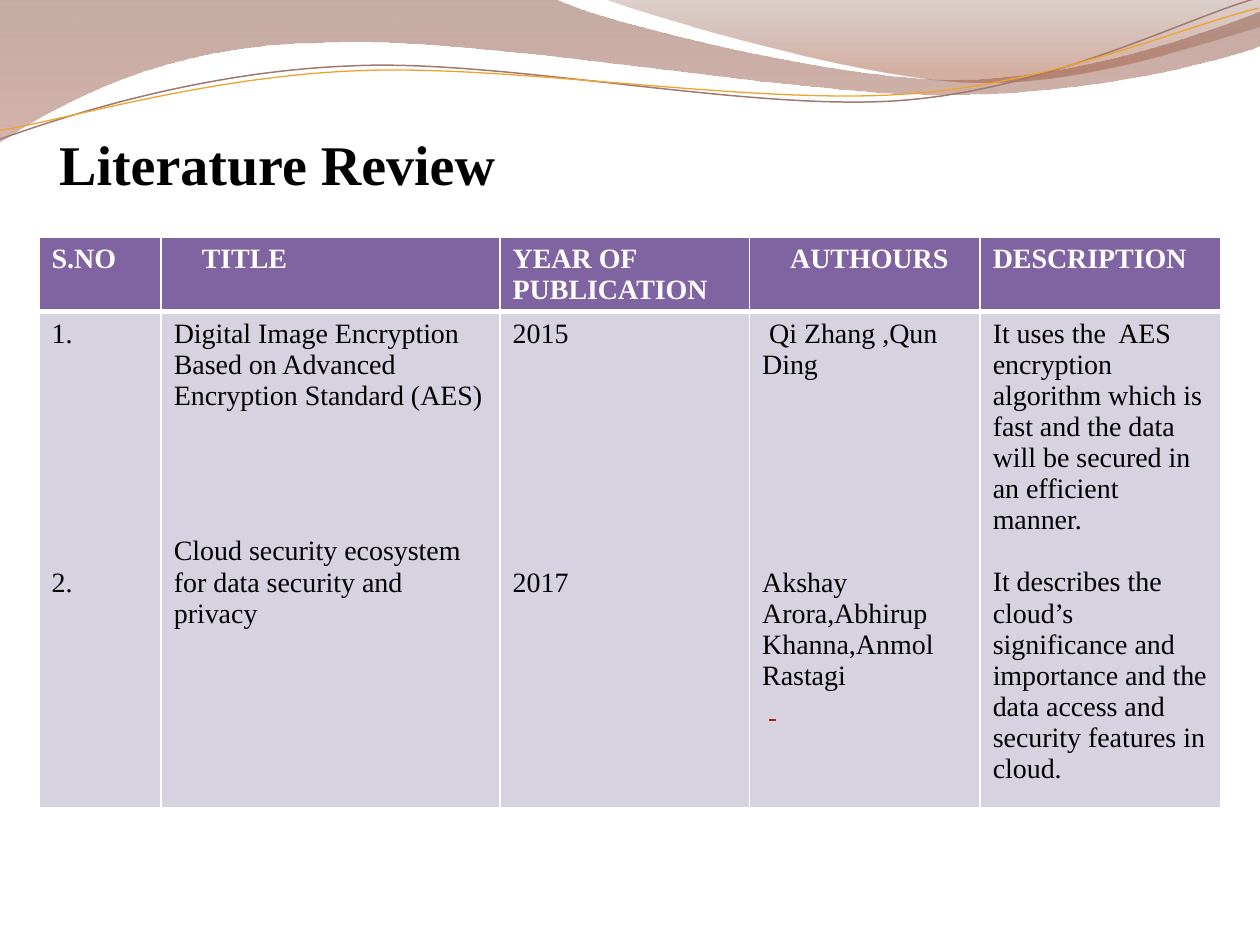
from pptx import Presentation
from pptx.dml.color import RGBColor as RGB
from pptx.enum.text import MSO_ANCHOR as ANCHOR, MSO_AUTO_SIZE as FIT, PP_ALIGN as ALIGN
from pptx.oxml.ns import qn
from pptx.util import Inches, Pt
from lxml.etree import SubElement

THEME = dict(font="Times New Roman", title=32, body=16, black="000000", white="FFFFFF",
             header="8064A2", cell="D7D2DF", mark="AD1F1F", brown="9F7A70", gold="F0A22E")

prs = Presentation()
prs.slide_width, prs.slide_height = Inches(10), Inches(7.5)
U = prs.slide_width // 10  # grid unit: a tenth of the slide's width
s = prs.slides.add_slide(prs.slide_layouts[5])


def add_wave(shapes, start, segments, closed):
    """Outline in grid units; a segment is a line (2 numbers) or a Bezier curve (6)."""
    pts = [(round(seg[i] * U), round(seg[i + 1] * U))
           for seg in segments for i in range(0, len(seg), 2)]
    builder = shapes.build_freeform(round(start[0] * U), round(start[1] * U), scale=1.0)
    builder.add_line_segments(pts, close=closed)
    sp = builder.convert_to_shape()
    sp.shadow.inherit = False
    steps = iter(list(sp.element.iter(qn("a:lnTo"))))
    for seg in segments:
        first, *others = [next(steps) for _ in range(len(seg) // 2)]
        if others:
            first.tag = qn("a:cubicBezTo")
        for step in others:
            first.append(step[0])
            step.getparent().remove(step)
    return sp


def add_run(p, text, color, bold=False, size=THEME["body"], underline=None):
    r = p.add_run()
    r.text = text
    fmt = dict(name=THEME["font"], size=Pt(size), bold=bold, underline=underline)
    for key, value in fmt.items():
        setattr(r.font, key, value)
    r.font.color.rgb = RGB.from_string(THEME[color])


# Filled waves: start, segments, gradient stops (position, colour, opacity %)
bands = [
    ((0, 0),
     [(4.4, -0.01), (4.76, 0.17, 6.64, 0.63, 7.58, 0.63), (8.53, 0.63, 9.58, 0.26, 10, 0.09),
      (10.01, 0.36), (9.83, 0.44, 8.7, 0.76, 7.46, 0.75), (6.22, 0.75, 3.82, 0.28, 2.57, 0.34),
      (1.29, 0.35, 0.46, 0.83, -0.01, 1.13), (0, 0)],
     [(0, "814733", 45), (1, "B17667", 55)]),
    ((4.79, -0.01),
     [(5.09, 0.11, 6.82, 0.62, 7.69, 0.65), (8.56, 0.69, 9.61, 0.32, 10, 0.21), (10, 0),
      (4.79, -0.01)],
     [(0, "8C6359", 30), (0.8, "A15135", 45)]),
]
for start, segments, stops in bands:
    sp = add_wave(s.shapes, start, segments, True)
    sp.line.fill.background()
    sp.fill.gradient()
    sp.fill.gradient_angle = 270
    for stop, (position, color, _) in zip(sp.fill.gradient_stops, stops):
        stop.position, stop.color.rgb = position, RGB.from_string(color)
    for clr, (_, _, opacity) in zip(sp.element.iter(qn("a:srgbClr")), stops):
        SubElement(clr, qn("a:alpha"), val=str(opacity * 1000))

# Thin wave lines, grouped and tilted
lines = [
    ((-0.02, 0.87), [(0.47, 0.72, 1.58, 0.41, 2.77, 0.42), (3.96, 0.41, 5.91, 0.93, 7.12, 0.9),
                     (8.32, 0.87, 9.4, 0.36, 10, 0.22)], "brown", 0.85),
    ((-0.02, 0.8), [(0.46, 0.75, 1.64, 0.45, 2.83, 0.46), (4.03, 0.46, 5.96, 0.88, 7.16, 0.85),
                    (8.35, 0.83, 9.42, 0.41, 10.01, 0.3)], "gold", 0.75),
]
group = s.shapes.add_group_shape()
for start, segments, color, width in lines:
    sp = add_wave(group.shapes, start, segments, False)
    sp.rotation = 357.3
    sp.fill.background()
    sp.line.color.rgb, sp.line.width = RGB.from_string(THEME[color]), Pt(width)

# Table: each body cell lists (text, empty lines' worth of space before it)
headers = [("S.NO", 0), ("TITLE", 16), ("YEAR OF PUBLICATION", 0), ("AUTHOURS", 16), ("DESCRIPTION", 0)]
body = [
    [("1.", 0), ("2.", 7)],
    [("Digital Image Encryption Based on Advanced Encryption Standard (AES)", 0),
     ("Cloud security ecosystem for data security and privacy", 4)],
    [("2015", 0), ("2017", 7)],
    [(" Qi Zhang ,Qun Ding", 0), ("Akshay Arora,Abhirup Khanna,Anmol Rastagi", 6)],
    [("It uses the  AES encryption algorithm which is fast and the data will be secured "
      "in an efficient manner.", 0),
     ("It describes the cloud’s significance and importance and the data access and "
      "security features in cloud.", 1)],
]
widths, heights = [0.97, 2.69, 1.98, 1.83, 1.91], [0.59, 3.94]
line_pitch = 17.8
table = s.shapes.add_table(2, 5, round(0.31 * U), round(1.88 * U),
                           round(sum(widths) * U), round(sum(heights) * U)).table
table.horz_banding = False
for row, height in zip(table.rows, heights):
    row.height = round(height * U)
for col, width in enumerate(widths):
    table.columns[col].width = round(width * U)
    for row, fill in enumerate(("header", "cell")):
        cell = table.cell(row, col)
        tcPr = cell._tc.get_or_add_tcPr()
        for side in "LRTB":
            heavy = (row, side) in ((0, "B"), (1, "T"))
            ln = SubElement(tcPr, qn(f"a:ln{side}"), w=str(Pt(3 if heavy else 0.96)))
            SubElement(SubElement(ln, qn("a:solidFill")), qn("a:srgbClr"), val=THEME["white"])
        cell.fill.solid()
        cell.fill.fore_color.rgb = RGB.from_string(THEME[fill])

    text, indent = headers[col]
    p = table.cell(0, col).text_frame.paragraphs[0]
    p._p.get_or_add_pPr().set("marL", str(Pt(indent)))
    add_run(p, text, "white", bold=True)

    tf = table.cell(1, col).text_frame
    for i, (text, gap) in enumerate(body[col]):
        p = tf.add_paragraph() if i else tf.paragraphs[0]
        p.space_before = Pt(gap * line_pitch)
        add_run(p, text, "black")

# Red underlined mark below the authors
p = table.cell(1, 3).text_frame.add_paragraph()
p._p.get_or_add_pPr().set("marL", str(Pt(4)))
add_run(p, " ", "mark", underline=True)

# Title, brought in front of the waves
title = s.shapes.title
title.element.getparent().append(title.element)
box = dict(left=0.47, top=0.87, width=9, height=0.69)
for key, value in box.items():
    setattr(title, key, round(value * U))
tf = title.text_frame
frame = dict(margin_left=0, margin_top=Inches(0.05), margin_right=0, margin_bottom=0,
             vertical_anchor=ANCHOR.BOTTOM, auto_size=FIT.NONE, word_wrap=True)
for key, value in frame.items():
    setattr(tf, key, value)
p = tf.paragraphs[0]
p.alignment = ALIGN.LEFT
add_run(p, "Literature Review", "black", bold=True, size=THEME["title"])

prs.save("out.pptx")
